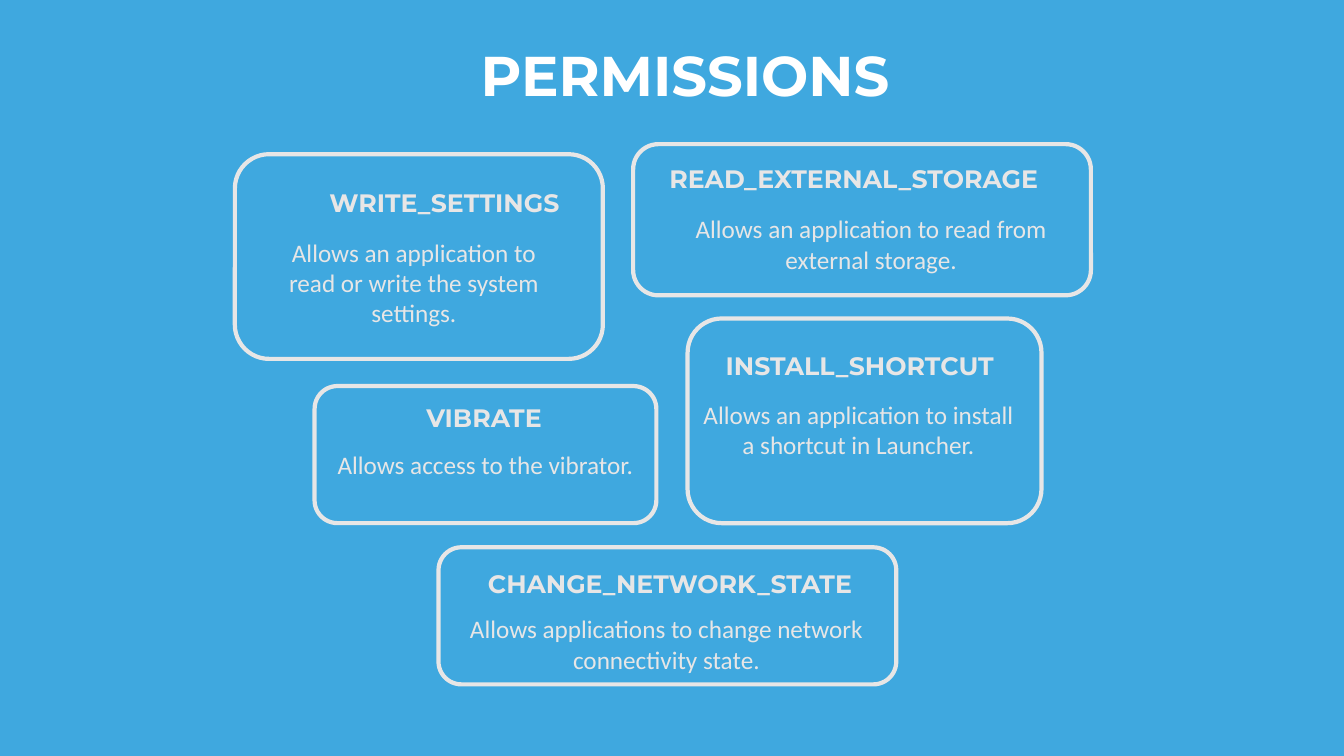
from dataclasses import dataclass

from pptx import Presentation
from pptx import util as u
from pptx.dml.color import RGBColor
from pptx.enum import shapes, text

COLOURS = {"sky": "3FA8DF", "white": "FFFFFF", "mist": "E7E6E6"}
HEADING_FONT, BODY_FONT = "Montserrat", "Calibri"


@dataclass(frozen=True)
class Area:
    """Left, top, width and height as percentages of the slide."""
    left: float
    top: float
    width: float
    height: float

    def lengths(self) -> tuple[int, int, int, int]:
        return (round(deck.slide_width * self.left / 100),
                round(deck.slide_height * self.top / 100),
                round(deck.slide_width * self.width / 100),
                round(deck.slide_height * self.height / 100))


@dataclass(frozen=True)
class Permission:
    name: str
    description: str
    frame: Area
    name_area: Area
    description_area: Area


PERMISSIONS = [
    Permission("WRITE_SETTINGS",
               "Allows an application to read or write the system settings.",
               Area(17.48, 20.4, 27.38, 27.07),
               Area(23.78, 24.13, 18.75, 5.33),
               Area(19.28, 30.67, 23.03, 13.47)),
    Permission("READ_EXTERNAL_STORAGE",
               "Allows an application to read from external storage.",
               Area(47.11, 19.07, 34.06, 20),
               Area(49.06, 20.93, 29.26, 5.33),
               Area(48.84, 27.6, 31.96, 13.47)),
    Permission("VIBRATE",
               "Allows access to the vibrator.",
               Area(23.41, 51.07, 25.43, 18.13),
               Area(30.98, 52.53, 10.28, 3.6),
               Area(23.41, 58.8, 25.43, 3.6)),
    Permission("INSTALL_SHORTCUT",
               "Allows an application to install a shortcut in Launcher.",
               Area(51.16, 42.13, 26.33, 27.07),
               Area(53.26, 45.73, 21.68, 3.87),
               Area(51.16, 52.13, 25.43, 6.93)),
    Permission("CHANGE_NETWORK_STATE",
               "Allows applications to change network connectivity state.",
               Area(32.63, 72.4, 34.06, 18.13),
               Area(35.56, 74.53, 28.88, 5.33),
               Area(33.16, 80.53, 32.86, 9.47)),
]


def colour(name: str) -> RGBColor:
    return RGBColor.from_string(COLOURS[name])


def write(frame, words: str, font: str, size: float, tint: str,
          bold: bool, align) -> None:
    frame.text = words
    paragraph = frame.paragraphs[0]
    paragraph.alignment = align
    run_font = paragraph.runs[0].font
    run_font.name, run_font.size, run_font.bold = font, u.Pt(size), bold
    run_font.color.rgb = colour(tint)


def add_label(area: Area, words: str, font: str, bold: bool, wrap: bool,
              align) -> None:
    frame = slide.shapes.add_textbox(*area.lengths()).text_frame
    frame.word_wrap = wrap
    frame.auto_size = text.MSO_AUTO_SIZE.SHAPE_TO_FIT_TEXT
    write(frame, words, font, 18, "mist", bold, align)


def add_permission(permission: Permission) -> None:
    add_label(permission.description_area, permission.description,
              BODY_FONT, False, True, text.PP_ALIGN.CENTER)
    add_label(permission.name_area, permission.name,
              HEADING_FONT, True, False, text.PP_ALIGN.LEFT)
    outline = slide.shapes.add_shape(
        shapes.MSO_SHAPE.ROUNDED_RECTANGLE, *permission.frame.lengths())
    outline.shadow.inherit = False
    outline.fill.background()
    outline.line.color.rgb = colour("mist")
    outline.line.width = u.Pt(3)


# Slide and background
deck = Presentation()
deck.slide_width, deck.slide_height = u.Inches(13.33), u.Inches(7.5)
slide = deck.slides.add_slide(deck.slide_layouts[5])
slide.background.fill.solid()
slide.background.fill.fore_color.rgb = colour("sky")

# Title
title = slide.shapes.title
title.left, title.top, title.width, title.height = Area(
    15.6, 4.4, 70.74, 11.87).lengths()
title.text_frame.vertical_anchor = text.MSO_ANCHOR.MIDDLE
write(title.text_frame, "PERMISSIONS", HEADING_FONT, 40, "white", True,
      text.PP_ALIGN.CENTER)
title.text_frame.paragraphs[0].line_spacing = 0.9

# Permission cards
for permission in PERMISSIONS:
    add_permission(permission)

deck.save("out.pptx")
